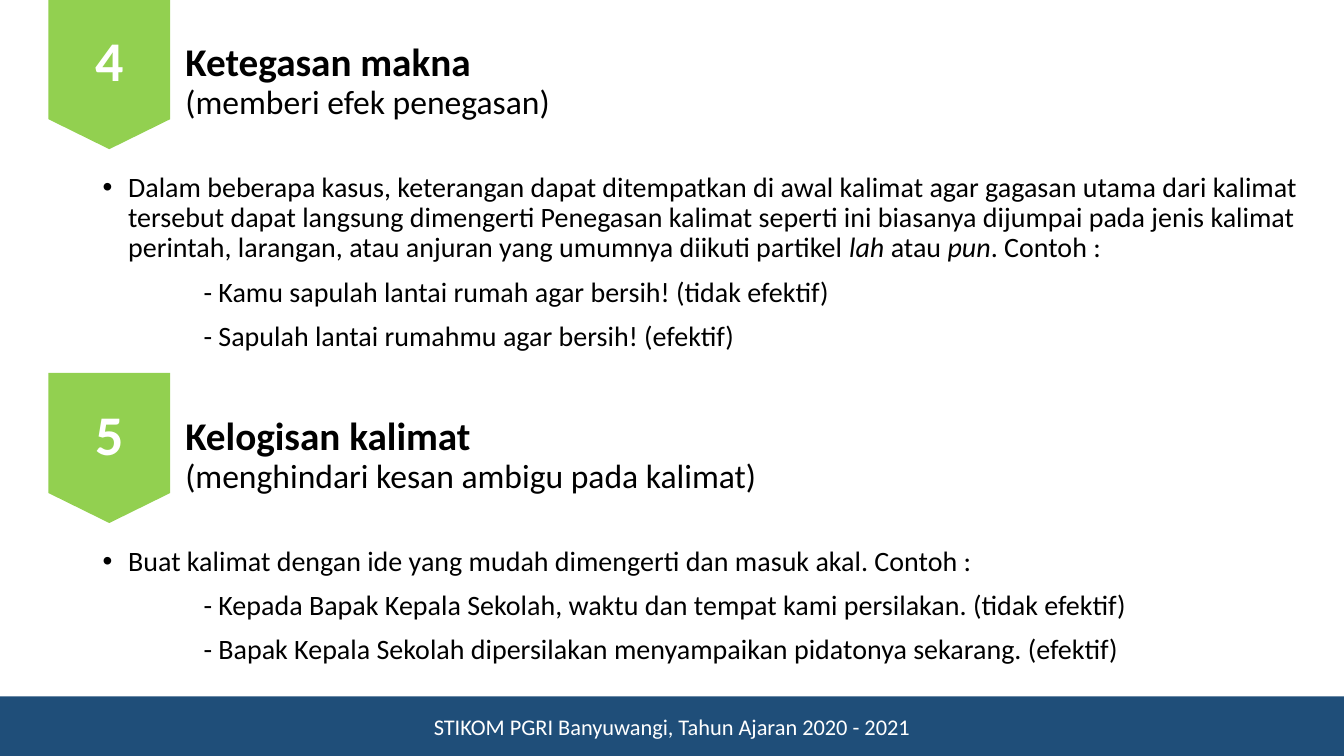
from dataclasses import dataclass

from lxml import etree
from pptx import Presentation
from pptx import util as u
from pptx.dml.color import RGBColor
from pptx.enum import shapes, text
from pptx.oxml.ns import qn


@dataclass(frozen=True)
class Theme:
    font: str = "Calibri"
    ink: str = "000000"
    light: str = "FFFFFF"
    green: str = "92D050"
    navy: str = "1F4E79"
    number: int = 40
    heading: int = 28
    subheading: int = 24
    body: int = 20
    footer: int = 16


class SlideBuilder:
    def __init__(self, slide, theme):
        self.slide, self.theme = slide, theme

    def style(self, font, size, color, **flags):
        for name, value in {"name": self.theme.font, "size": u.Pt(size), **flags}.items():
            setattr(font, name, value)
        font.color.rgb = RGBColor.from_string(color)

    def frame(self, shape, anchor):
        settings = {"word_wrap": True, "auto_size": text.MSO_AUTO_SIZE.NONE,
                    "vertical_anchor": anchor}
        for name, value in settings.items():
            setattr(shape.text_frame, name, value)
        return shape.text_frame

    def text_box(self, left, top, width, height):
        return self.slide.shapes.add_textbox(*map(u.Cm, (left, top, width, height)))

    def panel(self, kind, box, fill, label, size, bold=False):
        panel = self.slide.shapes.add_shape(kind, *map(u.Cm, box))
        panel.shadow.inherit = False
        panel.fill.solid()
        panel.fill.fore_color.rgb = RGBColor.from_string(fill)
        panel.line.fill.background()
        line = self.frame(panel, text.MSO_ANCHOR.MIDDLE).paragraphs[0]
        line.alignment = text.PP_ALIGN.CENTER
        run = line.add_run()
        run.text = label
        self.style(run.font, size, self.theme.light, bold=bold)

    def heading(self, shape, box, name, purpose):
        for side, value in zip(("left", "top", "width", "height"), box):
            setattr(shape, side, u.Cm(value))
        line = self.frame(shape, text.MSO_ANCHOR.MIDDLE).paragraphs[0]
        line.alignment, line.line_spacing = text.PP_ALIGN.LEFT, 0.9
        main = line.add_run()
        main.text = name
        self.style(main.font, self.theme.heading, self.theme.ink, bold=True)
        line.add_line_break()
        sub = line.add_run()
        sub.text = purpose
        self.style(sub.font, self.theme.subheading, self.theme.ink, bold=False)

    def body(self, box, explanation, examples):
        frame = self.frame(self.text_box(*box), text.MSO_ANCHOR.TOP)
        rows = [explanation] + [[(f"- {example}", False)] for example in examples]
        for index, row in enumerate(rows):
            line = frame.add_paragraph() if index else frame.paragraphs[0]
            line.line_spacing = 0.9
            line.space_before = u.Pt(10 if index else 0)
            props = line._p.get_or_add_pPr()
            props.set("marL", str(u.Cm(2.54 if index else 0.64)))
            if not index:
                props.set("indent", str(-u.Cm(0.64)))
                etree.SubElement(props, qn("a:buFont")).set("typeface", "Arial")
                etree.SubElement(props, qn("a:buChar")).set("char", "•")
            for words, italic in row:
                run = line.add_run()
                run.text = words
                self.style(run.font, self.theme.body, self.theme.ink, italic=italic)


SECTIONS = [
    ("4", "Ketegasan makna", "(memberi efek penegasan)", 12.95,
     [("Dalam beberapa kasus, keterangan dapat ditempatkan di awal kalimat agar gagasan "
       "utama dari kalimat tersebut dapat langsung dimengerti Penegasan kalimat seperti ini "
       "biasanya dijumpai pada jenis kalimat perintah, larangan, atau anjuran yang umumnya "
       "diikuti partikel ", False),
      ("lah ", True), ("atau ", False), ("pun", True), (". Contoh :", False)],
     ["Kamu sapulah lantai rumah agar bersih! (tidak efektif)",
      "Sapulah lantai rumahmu agar bersih! (efektif)"]),
    ("5", "Kelogisan kalimat", "(menghindari kesan ambigu pada kalimat)", 4.19,
     [("Buat kalimat dengan ide yang mudah dimengerti dan masuk akal. Contoh :", False)],
     ["Kepada Bapak Kepala Sekolah, waktu dan tempat kami persilakan. (tidak efektif)",
      "Bapak Kepala Sekolah dipersilakan menyampaikan pidatonya sekarang. (efektif)"]),
]
SECTION_PITCH = 9.42


def main():
    deck = Presentation()
    deck.slide_width, deck.slide_height = u.Cm(33.87), u.Cm(19.05)
    slide = deck.slides.add_slide(deck.slide_layouts[5])
    theme = Theme()
    builder = SlideBuilder(slide, theme)

    # Numbered sections: heading, body and badge
    for index, (number, name, purpose, height, explanation, examples) in enumerate(SECTIONS):
        top = index * SECTION_PITCH
        heading_box = (4.42, 0.23 + top, 29.21, 3.68)
        heading = builder.text_box(*heading_box) if index else slide.shapes.title
        builder.heading(heading, heading_box, name, purpose)
        builder.body((2.34, 4.24 + top, 31.29, height), explanation, examples)
        builder.panel(shapes.MSO_SHAPE.FLOWCHART_OFFPAGE_CONNECTOR,
                      (1.22, top - 0.02, 3.07, 3.78), theme.green, number,
                      theme.number, bold=True)

    # Footer band
    builder.panel(shapes.MSO_SHAPE.RECTANGLE, (0, 17.55, 33.87, 1.5), theme.navy,
                  "STIKOM PGRI Banyuwangi, Tahun Ajaran 2020 - 2021", theme.footer)

    deck.save("out.pptx")


if __name__ == "__main__":
    main()
